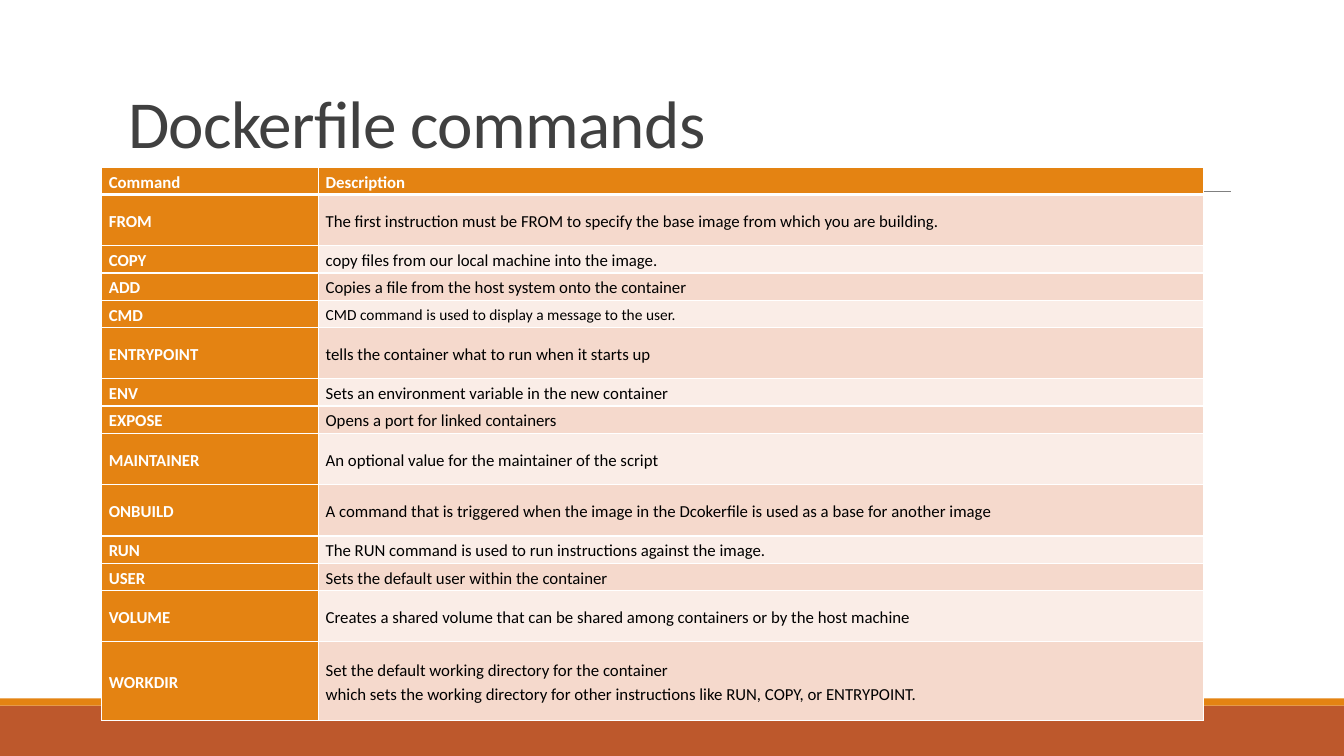
import dataclasses

import pptx
import pptx.dml.color
import pptx.enum.shapes
import pptx.enum.text
import pptx.oxml
import pptx.oxml.ns
import pptx.util

Inches = pptx.util.Inches
Pt = pptx.util.Pt

COLORS = {
    "orange": "E48312",
    "rust": "BD582C",
    "rule": "808080",
    "title": "404040",
    "white": "FFFFFF",
    "black": "000000",
    "band_dark": "F5D9CC",
    "band_light": "FAEDE7",
}
FONT = "Calibri"
SINGLE, DOUBLE, TRIPLE = 0.27, 0.51, 0.78


@dataclasses.dataclass(frozen=True)
class Command:
    """One table row: a command, its description and its look."""

    name: str
    description: str
    height: float = SINGLE
    size: float = 12


@dataclasses.dataclass(frozen=True)
class Band:
    """A full-width stripe at the foot of the slide."""

    top: float
    height: float
    color: str


BANDS = [Band(7, 0.5, "rust"), Band(6.93, 0.07, "orange")]
HEADER = Command("Command", "Description")
COMMANDS = [
    Command("FROM", "The first instruction must be FROM to specify the base image "
            "from which you are building.", DOUBLE),
    Command("COPY", "copy files from our local machine into the image."),
    Command("ADD", "Copies a file from the host system onto the container"),
    Command("CMD", "CMD command is used to display a message to the user.", size=11),
    Command("ENTRYPOINT", "tells the container what to run when it starts up", DOUBLE),
    Command("ENV", "Sets an environment variable in the new container"),
    Command("EXPOSE", "Opens a port for linked containers"),
    Command("MAINTAINER", "An optional value for the maintainer of the script", DOUBLE),
    Command("ONBUILD", "A command that is triggered when the image in the Dcokerfile "
            "is used as a base for another image", DOUBLE),
    Command("RUN", "The RUN command is used to run instructions against the image."),
    Command("USER", "Sets the default user within the container"),
    Command("VOLUME", "Creates a shared volume that can be shared among containers "
            "or by the host machine", DOUBLE),
    Command("WORKDIR", "Set the default working directory for the container\n"
            "which sets the working directory for other instructions like RUN, COPY, "
            "or ENTRYPOINT.", TRIPLE),
]


def rgb(name: str) -> pptx.dml.color.RGBColor:
    """Return the named colour."""
    return pptx.dml.color.RGBColor.from_string(COLORS[name])


def write(frame, text: str, *, size: float, color: str, bold: bool = False,
          line_spacing: float = 1.15, tracking: float = 0) -> None:
    """Fill a text frame with one formatted paragraph per line of text."""
    frame.text = text
    for paragraph in frame.paragraphs:
        paragraph.alignment = pptx.enum.text.PP_ALIGN.LEFT
        paragraph.line_spacing = line_spacing
        for run in paragraph.runs:
            run.font.name = FONT
            run.font.size = Pt(size)
            run.font.bold = bold
            run.font.color.rgb = rgb(color)
            if tracking:
                run.font._element.set("spc", str(round(tracking * 100)))


def add_band(slide, band: Band) -> None:
    """Draw a stripe across the slide."""
    stripe = slide.shapes.add_shape(
        pptx.enum.shapes.MSO_SHAPE.RECTANGLE,
        0, Inches(band.top), Inches(13.33), Inches(band.height))
    stripe.shadow.inherit = False
    stripe.fill.solid()
    stripe.fill.fore_color.rgb = rgb(band.color)
    stripe.line.fill.background()


def add_rule(slide) -> None:
    """Draw the thin line below the title."""
    rule = slide.shapes.add_connector(
        pptx.enum.shapes.MSO_CONNECTOR.STRAIGHT,
        Inches(1.31), Inches(1.9), Inches(12.21), Inches(1.9))
    rule.line.color.rgb = rgb("rule")
    rule.line.width = Pt(0.5)
    properties = rule._element.spPr
    properties.append(properties.makeelement(pptx.oxml.ns.qn("a:effectLst"), {}))


def set_borders(cell, top: float, bottom: float) -> None:
    """Give a cell white borders with the given top and bottom widths."""
    widths = {"L": 1, "R": 1, "T": top, "B": bottom}
    properties = cell._tc.get_or_add_tcPr()
    for position, (side, width) in enumerate(widths.items()):
        properties.insert(position, pptx.oxml.parse_xml(
            f'<a:ln{side} {pptx.oxml.ns.nsdecls("a")} w="{Pt(width)}">'
            f'<a:solidFill><a:srgbClr val="{COLORS["white"]}"/></a:solidFill>'
            f'</a:ln{side}>'))


def add_command_table(slide, commands: list[Command]) -> None:
    """Draw the table, with its header first and its rows banded."""
    height = sum(command.height for command in commands)
    table = slide.shapes.add_table(
        len(commands), 2, Inches(1.01), Inches(1.66), Inches(10.93), Inches(height)).table
    for column, width in zip(table.columns, (2.15, 8.78)):
        column.width = Inches(width)
    for row, command in enumerate(commands):
        table.rows[row].height = Inches(command.height)
        for column, text in enumerate((command.name, command.description)):
            accent = row == 0 or column == 0
            band = "band_dark" if row % 2 else "band_light"
            cell = table.cell(row, column)
            cell.margin_left = cell.margin_right = Inches(0.07)
            cell.margin_top = cell.margin_bottom = 0
            cell.vertical_anchor = pptx.enum.text.MSO_ANCHOR.MIDDLE
            cell.fill.solid()
            cell.fill.fore_color.rgb = rgb("orange" if accent else band)
            set_borders(cell, top=3 if row == 1 else 1, bottom=3 if row == 0 else 1)
            write(cell.text_frame, text, size=12 if accent else command.size,
                  color="white" if accent else "black", bold=accent)


def place_title(slide, text: str) -> None:
    """Position and format the title placeholder."""
    title = slide.shapes.title
    title.left, title.top = Inches(1.17), Inches(0.53)
    title.width, title.height = Inches(11), Inches(1.13)
    title.text_frame.word_wrap = True
    title.text_frame.auto_size = pptx.enum.text.MSO_AUTO_SIZE.NONE
    title.text_frame.vertical_anchor = pptx.enum.text.MSO_ANCHOR.BOTTOM
    write(title.text_frame, text, size=48, color="title", line_spacing=0.85, tracking=-0.5)


def main() -> None:
    """Build the slide and save it."""
    deck = pptx.Presentation()
    deck.slide_width, deck.slide_height = Inches(13.33), Inches(7.5)
    slide = deck.slides.add_slide(deck.slide_layouts.get_by_name("Title Only"))
    for band in BANDS:
        add_band(slide, band)
    add_rule(slide)
    place_title(slide, "Dockerfile commands")
    add_command_table(slide, [HEADER, *COMMANDS])
    deck.save("out.pptx")


if __name__ == "__main__":
    main()
